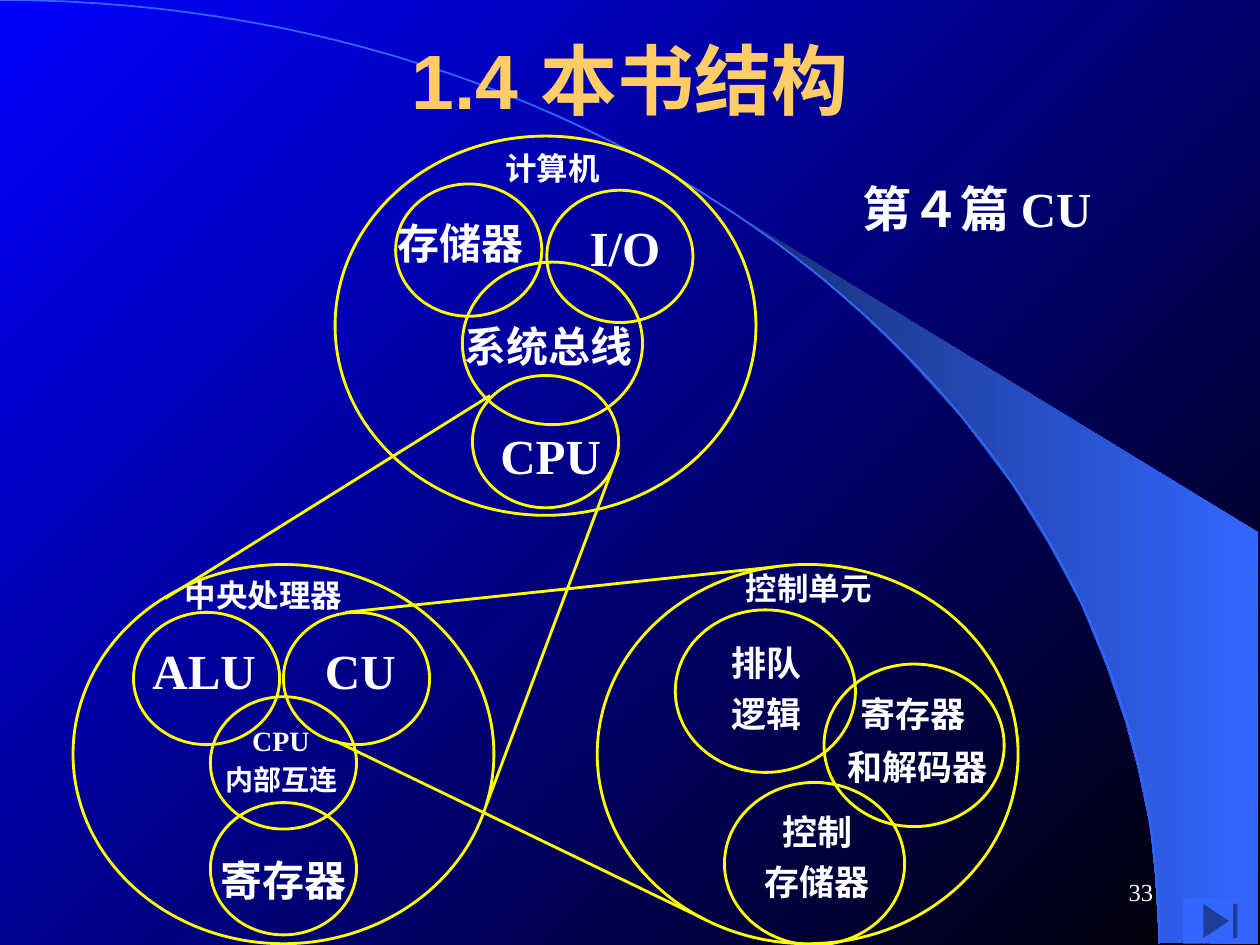
"""Build the slide on the book structure: computer, processor and control unit."""
import pptx
import pptx.dml.color
import pptx.enum.shapes
import pptx.enum.text
import pptx.oxml.ns
import pptx.util
from lxml import etree

RGB = pptx.dml.color.RGBColor
BLUE, BLACK = RGB(0x00, 0x00, 0xFF), RGB(0x00, 0x00, 0x00)
NAVY, SKY = RGB(0x18, 0x2F, 0x76), RGB(0x33, 0x66, 0xFF)
YELLOW, GOLD, WHITE = RGB(0xFF, 0xFF, 0x00), RGB(0xFF, 0xCC, 0x66), RGB(0xFF, 0xFF, 0xFF)
SERIF, SANS, HAN = "Times New Roman", "Arial", "Noto Sans CJK SC"
SHAPE = pptx.enum.shapes.MSO_SHAPE
ALIGN = pptx.enum.text.PP_ALIGN
ANCHOR = pptx.enum.text.MSO_ANCHOR
COLUMNS, ROWS = 100, 75
CELL = pptx.util.Inches(0.1)
FINENESS = 100
SLACK = 1

LARGE, MEDIUM, SMALL = (33.4, 30.1), (14.3, 12.9), (11.6, 10.5)
CIRCLES = [
    (LARGE, [(26.6, 10.8), (5.8, 44.8), (47.4, 44.8)]),
    (MEDIUM, [(36.7, 20.8), (65.4, 52.7), (53.6, 48.4), (57.5, 62.1)]),
    (SMALL, [(31.4, 14.6), (43.4, 15.1), (37.5, 29.8),
             (10.6, 48.6), (22.5, 48.6), (16.7, 55.3), (16.7, 63.7)]),
]
ZOOM_LINES = [
    ((38.9, 31.4), (13.1, 47.5)), ((49.1, 35.9), (38.6, 63.9)),
    ((26.6, 58.8), (55.8, 72.9)), ((27.4, 48.6), (61.4, 45)),
]
HAN_LABELS = [
    ("计算机", 18, (40.1, 11.8, 7.5, 3)),
    ("存储器", 24, (31.6, 17.3, 10, 4)),
    ("系统总线", 24, (36.9, 25.4, 13.3, 4)),
    ("中央处理器", 18, (14.7, 45.7, 12.6, 3)),
    ("内部互连", 16, (17.9, 60.5, 8.9, 2.7)),
    ("寄存器", 24, (17.5, 67.8, 10, 4)),
    ("控制单元", 18, (59.2, 45.2, 10.1, 3)),
    ("排队\n逻辑", 20, (54.1, 50.9, 13.5, 7.4)),
    ("寄存器", 20, (68.3, 55, 8.4, 3.3)),
    ("和解码器", 20, (67.3, 59.2, 11.1, 3.3)),
    ("控制\n存储器", 20, (58.9, 64.3, 11.9, 7.4)),
]
LATIN_LABELS = [
    ("I/O", 28, (45.5, 17.3, 8.2, 4.7)),
    ("CPU", 28, (39.7, 33.8, 8, 4.7)),
    ("ALU", 28, (12.1, 50.8, 8.2, 4.7)),
    ("CU", 28, (25.8, 50.8, 5.6, 4.7)),
    ("CPU", 16, (20, 57.4, 4.6, 2.7)),
]
WING_EDGE = [
    (92, 74.8), (99.9, 74.9), (99.9, 42.3), (58.9, 17.3), (62.4, 19.9), (65.3, 22.2),
    (68.5, 25), (71.6, 28), (76.2, 33), (80.3, 38.4), (83.2, 43.1), (85.8, 47.9),
    (87.8, 52.8), (89.3, 57.2), (90.3, 60.9), (91.3, 65.6), (91.7, 69.6),
]
ARC_CONTROLS = [(0, 0), (50.8, 0), (92, 33.5), (92, 74.9)]


def cells(*lengths):
    """Turn grid lengths into slide lengths."""
    return [pptx.util.Emu(round(length * CELL)) for length in lengths]


def blend(fill, start, end, angle):
    """Fill with a straight two-colour gradient."""
    fill.gradient()
    fill.gradient_angle = angle
    for stop, colour in zip(fill.gradient_stops, (start, end)):
        stop.color.rgb = colour


def style_run(run, size, face, colour, bold=True):
    """Set the look of one run, with the Chinese face alongside."""
    run.font.size, run.font.bold, run.font.name = pptx.util.Pt(size), bold, face
    run.font.color.rgb = colour
    east_asian = etree.SubElement(run._r.get_or_add_rPr(), pptx.oxml.ns.qn("a:ea"))
    east_asian.set("typeface", HAN)


def add_outline(slide, points, closed):
    """Draw a polygon or open line through grid points."""
    fine = [(x * FINENESS, y * FINENESS) for x, y in points]
    builder = slide.shapes.build_freeform(*fine[0], scale=CELL / FINENESS)
    builder.add_line_segments(fine[1:], close=closed)
    outline = builder.convert_to_shape()
    outline.shadow.inherit = False
    return outline


def add_backdrop(slide):
    """Paint the background, the wing and the arc."""
    blend(slide.background.fill, BLUE, BLACK, 315)
    wing = add_outline(slide, WING_EDGE, True)
    blend(wing.fill, NAVY, SKY, 0)
    wing.line.fill.background()
    steps = 60
    curve = []
    for step in range(steps + 1):
        t = step / steps
        weights = ((1 - t) ** 3, 3 * t * (1 - t) ** 2, 3 * t * t * (1 - t), t ** 3)
        curve.append(tuple(sum(w * point[axis] for w, point in zip(weights, ARC_CONTROLS))
                           for axis in (0, 1)))
    arc = add_outline(slide, curve, False)
    arc.fill.background()
    arc.line.color.rgb, arc.line.width = SKY, pptx.util.Pt(1)


def add_title(slide, wording):
    """Place the title above the backdrop."""
    title = slide.shapes.title
    slide.shapes._spTree.append(title._element)
    title.left, title.top, title.width, title.height = cells(7.5, 0, 85, 12.5)
    title.text_frame.text = wording
    title.text_frame.vertical_anchor = ANCHOR.MIDDLE
    heading = title.text_frame.paragraphs[0]
    heading.alignment = ALIGN.CENTER
    style_run(heading.runs[0], 44, SANS, GOLD)


def add_circle(slide, place, size):
    """Draw one yellow ring."""
    circle = slide.shapes.add_shape(SHAPE.OVAL, *cells(*place, *size))
    circle.shadow.inherit = False
    circle.fill.background()
    circle.line.color.rgb, circle.line.width = YELLOW, pptx.util.Pt(1.62)


def add_zoom_line(slide, start, end):
    """Draw one line leading from a part to its enlargement."""
    zoom = slide.shapes.add_connector(pptx.enum.shapes.MSO_CONNECTOR.STRAIGHT,
                                      *cells(*start, *end))
    zoom.line.color.rgb, zoom.line.width = YELLOW, pptx.util.Pt(1.62)
    etree.SubElement(zoom._element.spPr, pptx.oxml.ns.qn("a:effectLst"))


def add_label(slide, wording, size, area, face, align=ALIGN.CENTER):
    """Write a label, one paragraph per line, with slack at the sides."""
    left, top, width, height = area
    place = cells(left - SLACK, top, width + 2 * SLACK, height)
    label = slide.shapes.add_textbox(*place).text_frame
    label.margin_left = cells(SLACK if align == ALIGN.LEFT else 0)[0]
    label.margin_right = label.margin_top = label.margin_bottom = 0
    label.word_wrap = True
    label.text = wording
    for index, line in enumerate(label.paragraphs):
        line.alignment = align
        if index:
            line.space_before = pptx.util.Pt(size / 4)
        style_run(line.runs[0], size, face, WHITE)
    return label


def add_page_number(slide, number):
    """Write the page number and draw the button beside it."""
    button = slide.shapes.add_shape(SHAPE.ACTION_BUTTON_END, *cells(93.9, 71.3, 5.9, 3.6))
    button.shadow.inherit = False
    button.fill.solid()
    button.fill.fore_color.rgb = SKY
    button.line.fill.background()
    footer = slide.shapes.add_textbox(*cells(71.7, 68.3, 20.8, 5)).text_frame
    footer.word_wrap = True
    footer.vertical_anchor = ANCHOR.MIDDLE
    footer.text = number
    footer.paragraphs[0].alignment = ALIGN.RIGHT
    style_run(footer.paragraphs[0].runs[0], 14, SERIF, WHITE, bold=False)


def main():
    """Assemble and save the slide."""
    deck = pptx.Presentation()
    deck.slide_width, deck.slide_height = cells(COLUMNS, ROWS)
    slide = deck.slides.add_slide(deck.slide_layouts[5])
    add_backdrop(slide)
    add_title(slide, "1.4 本书结构")
    for size, places in CIRCLES:
        for place in places:
            add_circle(slide, place, size)
    for start, end in ZOOM_LINES:
        add_zoom_line(slide, start, end)
    for wording, size, area in HAN_LABELS:
        align = ALIGN.CENTER if "\n" in wording else ALIGN.LEFT
        add_label(slide, wording, size, area, HAN, align)
    for wording, size, area in LATIN_LABELS:
        add_label(slide, wording, size, area, SERIF)
    part = add_label(slide, "第４篇 ", 28, (68.5, 14.2, 27.8, 4.7), HAN, ALIGN.LEFT)
    unit = part.paragraphs[0].add_run()
    unit.text = "CU"
    style_run(unit, 28, SERIF, WHITE)
    add_page_number(slide, "33")
    deck.save("out.pptx")


if __name__ == "__main__":
    main()
